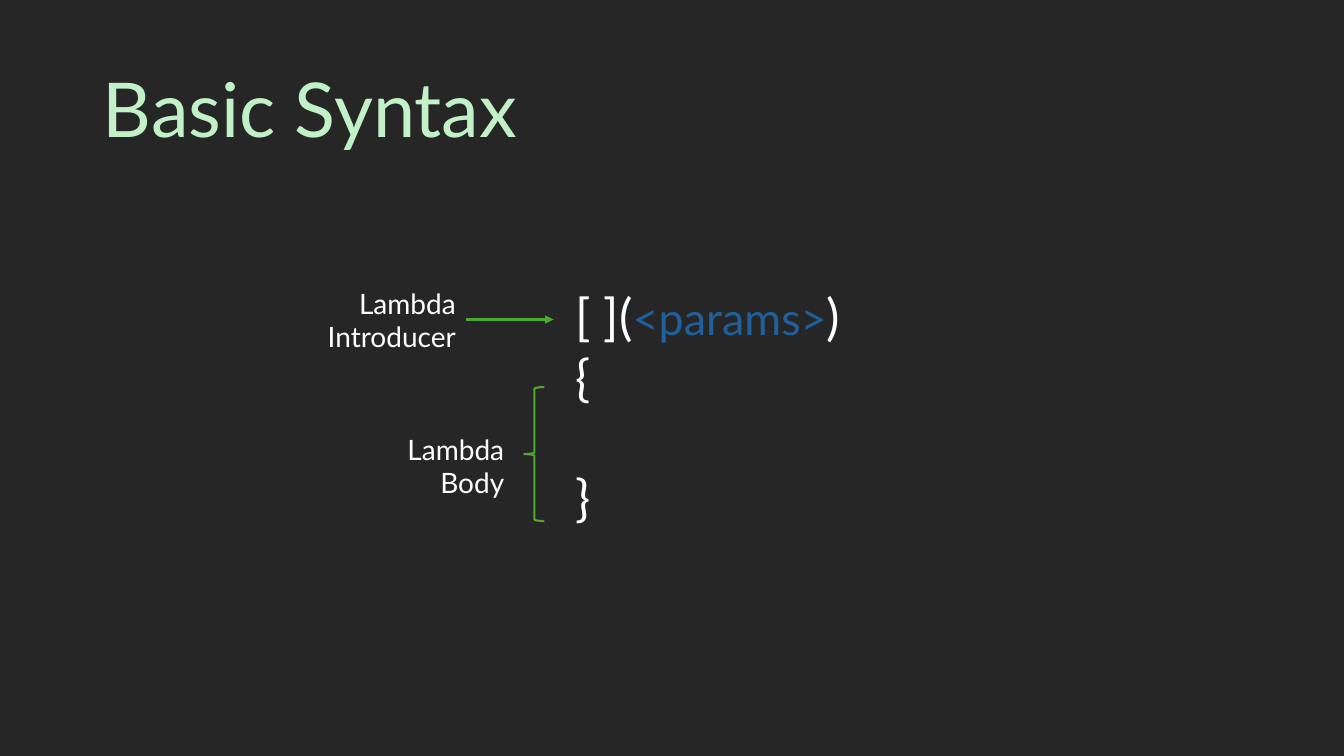
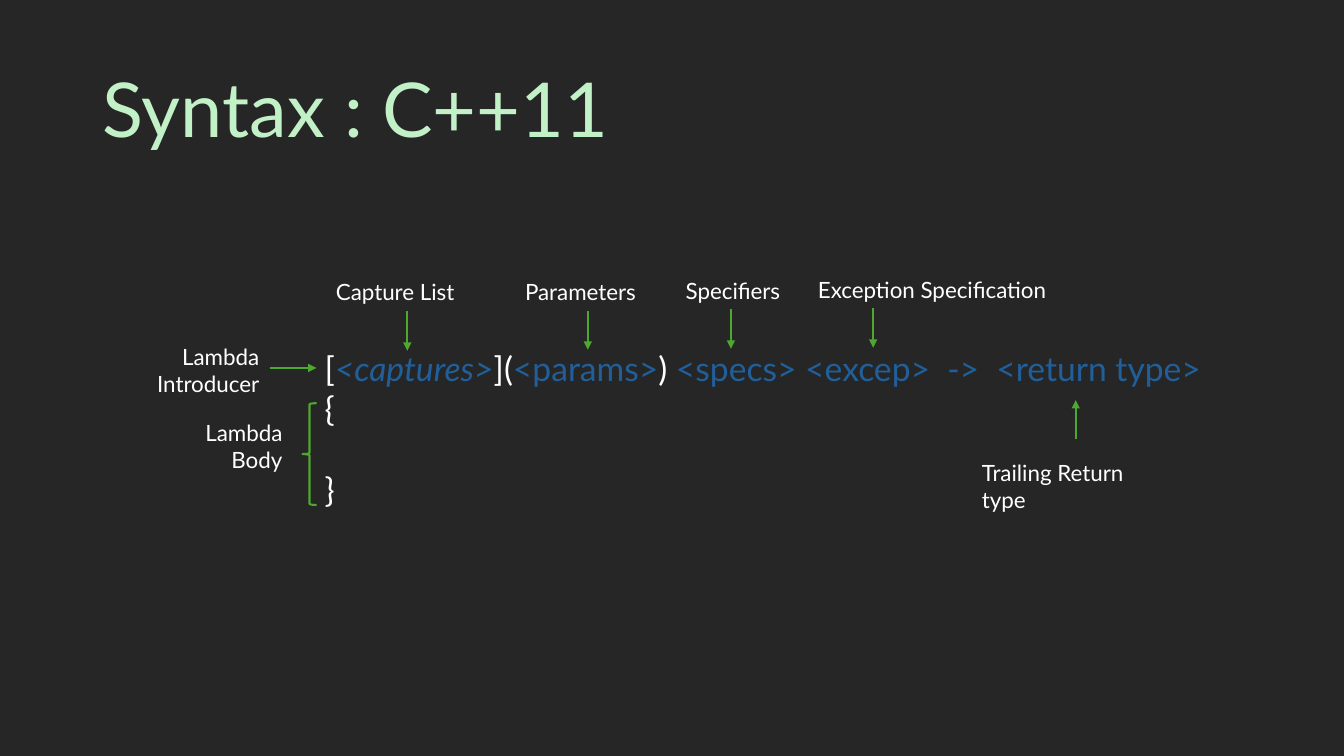
from dataclasses import dataclass

from lxml.etree import SubElement
from pptx import Presentation
from pptx.dml.color import RGBColor
from pptx.enum.shapes import MSO_CONNECTOR, MSO_SHAPE
from pptx.enum.text import MSO_ANCHOR, PP_ALIGN
from pptx.oxml.ns import qn
from pptx.util import Inches, Pt


@dataclass(frozen=True)
class Theme:
    font: str = "Lato"
    background: RGBColor = RGBColor.from_string("262626")
    title: RGBColor = RGBColor.from_string("C2F1C8")
    text: RGBColor = RGBColor.from_string("FFFFFF")
    slot: RGBColor = RGBColor.from_string("215F9A")
    pointer: RGBColor = RGBColor.from_string("4EA72E")
    title_size: int = 54
    line_width: float = 1.5
    line_height: float = 1.2


THEME = Theme()
LEFT, CENTER, RIGHT = PP_ALIGN.LEFT, PP_ALIGN.CENTER, PP_ALIGN.RIGHT

# Signature runs: (text, kind, size); a size of None follows the code size.
# Labels: (text, box, alignment); arrows: (x1, y1, x2, y2); boxes: left, top, width, height.
SLIDES = [
    {
        "title": "Basic Syntax",
        "code_box": (5.61, 2.78, 3.81, 3.13),
        "code_size": 36,
        "label_size": 20,
        "signature": [("[ ](", "code", None), ("<params>", "slot", 32), (")", "code", None)],
        "labels": [
            ("Lambda Introducer", (2.2, 2.79, 2.42, 0.76), RIGHT),
            ("Lambda Body", (3.33, 4.24, 1.77, 0.76), RIGHT),
        ],
        "arrows": [(4.62, 3.17, 5.49, 3.17)],
        "brace": (5.2, 3.84, 0.2, 1.33),
    },
    {
        "title": "Syntax : C++11",
        "code_box": (3.12, 3.4, 9.19, 2.12),
        "code_size": 24,
        "label_size": 16,
        "signature": [
            ("[", "code", None),
            ("<captures>", "italic slot", None),
            ("](", "code", None),
            ("<params>", "slot", None),
            (") ", "code", None),
            ("<specs> <excep>  ->  <return type>", "slot", None),
        ],
        "labels": [
            ("Capture List", (3.12, 2.71, 1.6, 0.37), CENTER),
            ("Parameters", (5.11, 2.71, 1.39, 0.37), LEFT),
            ("Specifiers", (6.56, 2.7, 1.42, 0.37), CENTER),
            ("Exception Specification", (7.98, 2.69, 2.53, 0.37), CENTER),
            ("Trailing Return type", (9.64, 4.51, 2, 0.64), LEFT),
            ("Lambda Introducer", (1.4, 3.36, 1.27, 0.64), RIGHT),
            ("Lambda Body", (1.63, 4.11, 1.27, 0.64), RIGHT),
        ],
        "arrows": [
            (4.04, 3.09, 4.04, 3.48),
            (5.83, 3.09, 5.83, 3.47),
            (7.25, 3.07, 7.25, 3.46),
            (8.66, 3.06, 8.66, 3.45),
            (10.67, 4.36, 10.67, 3.97),
            (2.68, 3.65, 3.14, 3.65),
        ],
        "brace": (3, 4, 0.14, 1.01),
    },
]


def inches(values):
    return [Inches(v) for v in values]


def set_font(font, size, color):
    font.name = THEME.font
    font.size = Pt(size)
    font.color.rgb = color


def add_text_frame(s, box):
    tf = s.shapes.add_textbox(*inches(box)).text_frame
    tf.word_wrap = True
    return tf


def set_title(s, text):
    p = s.shapes.title.text_frame.paragraphs[0]
    p.text = text
    p.alignment = LEFT
    p.line_spacing = 0.9
    set_font(p.font, THEME.title_size, THEME.title)


def add_code(s, box, size, signature):
    """Write the signature line, then the braces with one line of space between them."""
    tf = add_text_frame(s, box)
    first = tf.paragraphs[0]
    for text, kind, run_size in signature:
        r = first.add_run()
        r.text = text
        set_font(r.font, run_size or size, THEME.text if kind == "code" else THEME.slot)
        if kind == "italic slot":
            r.font.italic = True
    for text, lines_before in (("{", 0), ("}", 1)):
        p = tf.add_paragraph()
        p.text = text
        p.space_before = Pt(lines_before * size * THEME.line_height)
        set_font(p.font, size, THEME.text)


def add_label(s, text, box, alignment, size):
    p = add_text_frame(s, box).paragraphs[0]
    p.text = text
    p.alignment = alignment
    set_font(p.font, size, THEME.text)


def style_line(line):
    line.color.rgb = THEME.pointer
    line.width = Pt(THEME.line_width)


def add_arrow(s, ends):
    arrow = s.shapes.add_connector(MSO_CONNECTOR.STRAIGHT, *inches(ends))
    style_line(arrow.line)
    sp_pr = arrow.element.spPr
    SubElement(sp_pr.find(qn("a:ln")), qn("a:tailEnd"), type="triangle")
    SubElement(sp_pr, qn("a:effectLst"))


def add_brace(s, box):
    brace = s.shapes.add_shape(MSO_SHAPE.LEFT_BRACE, *inches(box))
    brace.shadow.inherit = False
    brace.fill.background()
    style_line(brace.line)


def prepare_layout(prs):
    """Set the background and title place that all slides inherit."""
    fill = prs.slide_master.background.fill
    fill.solid()
    fill.fore_color.rgb = THEME.background
    layout = prs.slide_layouts.get_by_name("Title Only")
    title = layout.placeholders[0]
    title.left, title.top, title.width, title.height = inches((0.92, 0.4, 11.5, 1.45))
    title.text_frame.vertical_anchor = MSO_ANCHOR.MIDDLE
    return layout


def main():
    prs = Presentation()
    prs.slide_width, prs.slide_height = inches((13.33, 7.5))
    layout = prepare_layout(prs)
    for content in SLIDES:
        s = prs.slides.add_slide(layout)
        set_title(s, content["title"])
        add_code(s, content["code_box"], content["code_size"], content["signature"])
        for text, box, alignment in content["labels"]:
            add_label(s, text, box, alignment, content["label_size"])
        for ends in content["arrows"]:
            add_arrow(s, ends)
        add_brace(s, content["brace"])
    prs.save("out.pptx")


if __name__ == "__main__":
    main()
